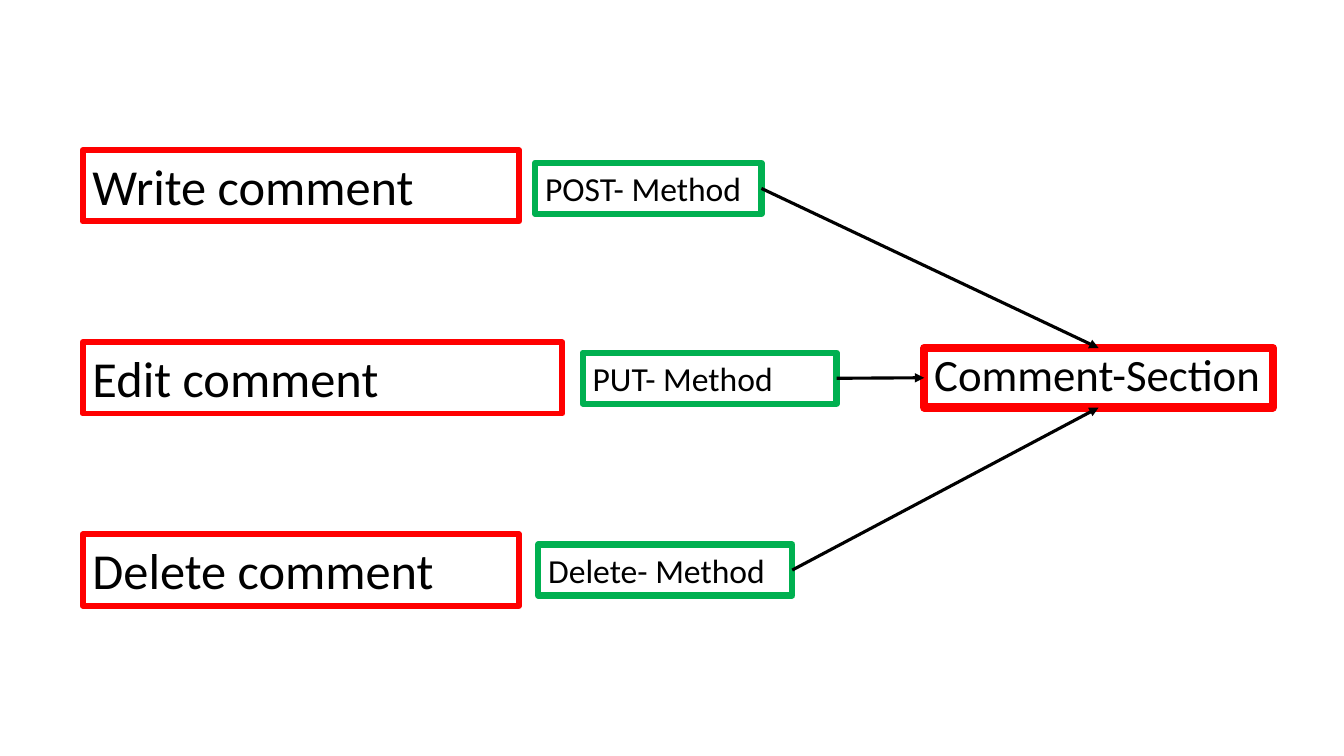
from dataclasses import dataclass

from lxml import etree
from pptx import Presentation
from pptx.dml.color import RGBColor
from pptx.enum import shapes, text
from pptx.oxml import ns
from pptx.shapes.autoshape import Shape
from pptx.util import Pt

RED, GREEN, BLACK = "FF0000", "00B050", "000000"
TOP, LEFT, BOTTOM, RIGHT = range(4)


@dataclass
class Box:
    label: str
    x: float
    y: float
    width: float
    height: float
    size: float
    color: str
    line: float
    grow: bool = True


@dataclass
class Row:
    action: str
    wide: float
    method: str
    x: float
    y: float
    width: float
    side: int


ROWS = [
    Row("Write comment", 311.8, "POST- Method", 382.3, 116.4, 161.6, TOP),
    Row("Edit comment", 342.7, "PUT- Method", 416.2, 252, 181.4, LEFT),
    Row("Delete comment", 311.8, "Delete- Method", 384.5, 389, 181.4, BOTTOM),
]

deck = Presentation()
deck.slide_width, deck.slide_height = Pt(960), Pt(540)
slide = deck.slides.add_slide(deck.slide_layouts[6])


def rgb(code: str) -> RGBColor:
    return RGBColor.from_string(code)


def draw_box(box: Box) -> Shape:
    shape = slide.shapes.add_textbox(
        Pt(box.x), Pt(box.y), Pt(box.width), Pt(box.height))
    shape.line.color.rgb = rgb(box.color)
    shape.line.width = Pt(box.line)
    frame = shape.text_frame
    frame.text = box.label
    frame.word_wrap = True
    if box.grow:
        frame.auto_size = text.MSO_AUTO_SIZE.SHAPE_TO_FIT_TEXT
    font = frame.paragraphs[0].runs[0].font
    font.name, font.size = "Calibri", Pt(box.size)
    font.color.rgb = rgb(BLACK)
    return shape


def draw_arrow(start: Shape, end: Shape, side: int) -> None:
    arrow = slide.shapes.add_connector(
        shapes.MSO_CONNECTOR.STRAIGHT, 0, 0, 0, 0)
    arrow.begin_connect(start, RIGHT)
    arrow.end_connect(end, side)
    arrow.line.color.rgb = rgb(BLACK)
    arrow.line.width = Pt(2.25)
    props = arrow.line._get_or_add_ln()
    etree.SubElement(props, ns.qn("a:tailEnd"), type="triangle")
    etree.SubElement(arrow._element.spPr, ns.qn("a:effectLst"))


# Target of all three methods
section = draw_box(Box("Comment-Section", 660.2, 248.6, 249.1, 42.5,
                       32, RED, 5.75, grow=False))
section.text_frame.paragraphs[0].line_spacing = 0.9

# Actions, their methods and the arrows to the target
for i, row in enumerate(ROWS):
    draw_box(Box(row.action, 59, 107.3 + 137.2 * i, row.wide, 50.9,
                 36, RED, 4.25))
    method = draw_box(Box(row.method, row.x, row.y, row.width, 36.4,
                          24, GREEN, 4.5))
    draw_arrow(method, section, row.side)

deck.save("out.pptx")
